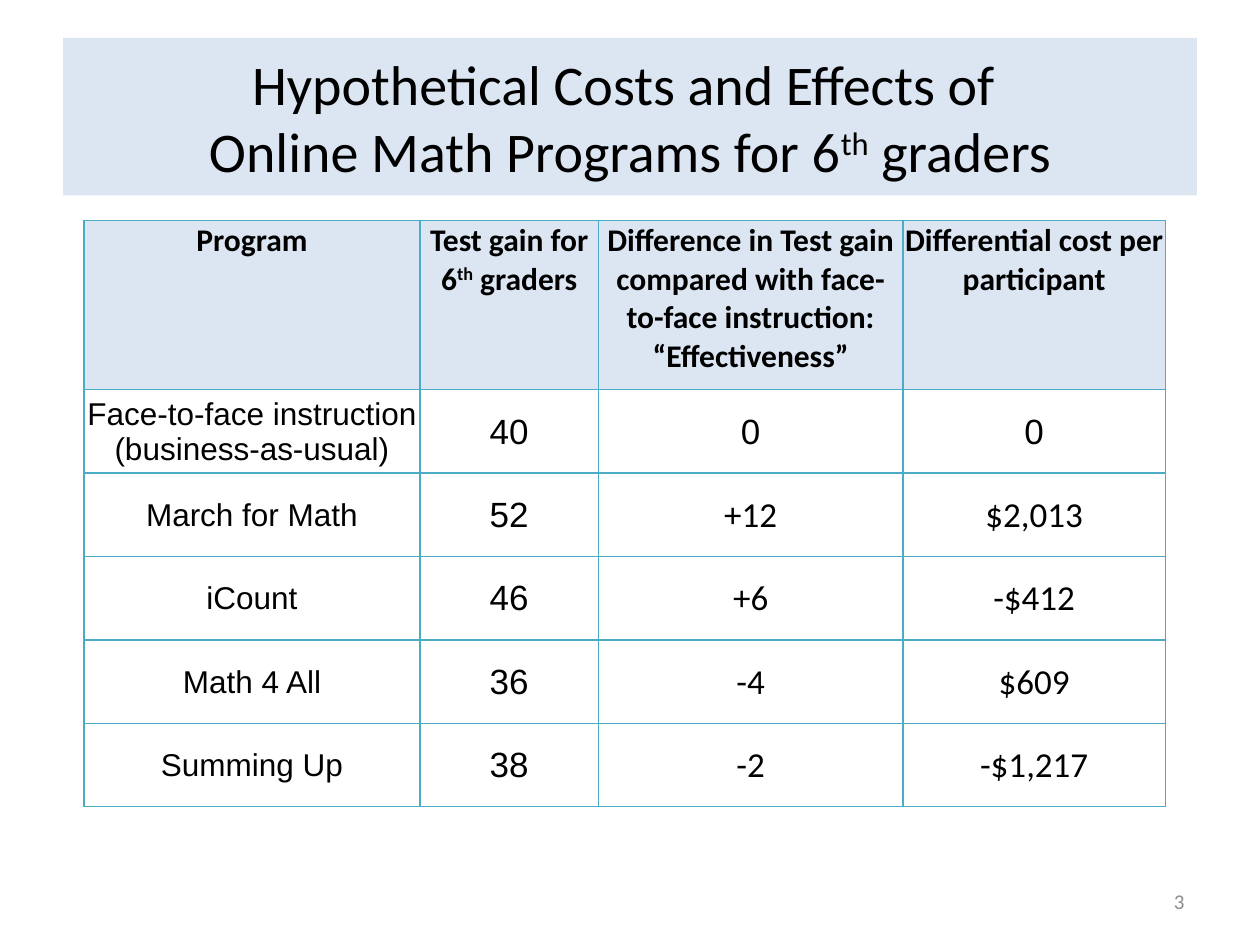
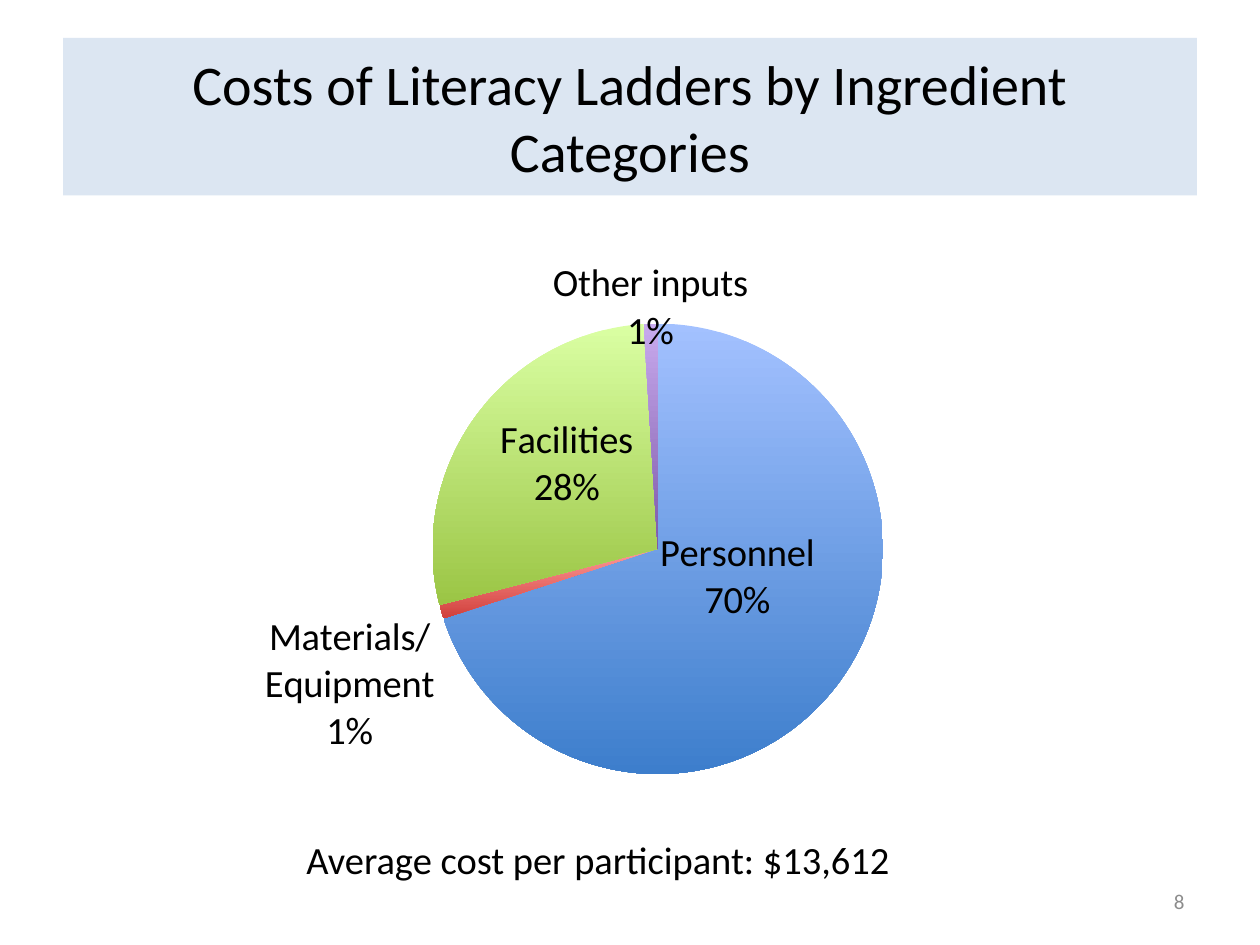
from dataclasses import dataclass
from typing import Optional

from lxml.etree import SubElement
from pptx import Presentation
from pptx.chart.data import CategoryChartData
from pptx.dml.color import RGBColor
from pptx.enum.chart import XL_CHART_TYPE as ChartType, XL_LABEL_POSITION as LabelPosition
from pptx.enum.text import MSO_ANCHOR as Anchor, MSO_AUTO_SIZE as AutoSize, PP_ALIGN as Align
from pptx.oxml import parse_xml
from pptx.oxml.ns import nsdecls, qn
from pptx.util import Inches, Pt

BLACK = RGBColor(0x00, 0x00, 0x00)
GRAY = RGBColor(0x8C, 0x8C, 0x8C)
PALE_BLUE = RGBColor(0xDC, 0xE6, 0xF2)
TEAL = RGBColor(0x4B, 0xAC, 0xC6)
BLUE_TOP, BLUE_BASE = RGBColor(0xA3, 0xC1, 0xFF), RGBColor(0x3D, 0x7E, 0xCC)
RED_TOP, RED_BASE = RGBColor(0xFF, 0x9A, 0x99), RGBColor(0xD1, 0x40, 0x3C)
GREEN_TOP, GREEN_BASE = RGBColor(0xDA, 0xFF, 0xA3), RGBColor(0x9B, 0xC5, 0x45)
PURPLE_TOP, PURPLE_BASE = RGBColor(0xC8, 0xAA, 0xEE), RGBColor(0x7D, 0x59, 0xA8)

BODY_FONT, TABLE_FONT = "Calibri", "Arial"
CELL = Inches(1) // 12
TITLE_ONLY = 5


@dataclass(frozen=True)
class Area:
    column: float
    row: float
    columns: float
    rows: float

    def lengths(self) -> tuple[int, ...]:
        return tuple(round(n * CELL) for n in (self.column, self.row, self.columns, self.rows))


@dataclass(frozen=True)
class TextStyle:
    size: int
    font: str = BODY_FONT
    color: RGBColor = BLACK
    bold: bool = False
    align: Align = Align.CENTER


@dataclass(frozen=True)
class Slice:
    category: str
    label: str
    percent: int
    top: RGBColor
    base: RGBColor
    position: LabelPosition
    shift: tuple[float, float]


TITLE_AREA = Area(6, 3.6, 108, 15)
NUMBER_AREA = Area(86, 83.4, 28, 4.8)
TABLE_AREA = Area(8, 21, 103, 57.8)
CHART_AREA = Area(6, 19.2, 110, 60.7)
COST_AREA = Area(28, 79, 70, 5.6)

TITLE_STYLE = TextStyle(32)
NUMBER_STYLE = TextStyle(12, color=GRAY, align=Align.RIGHT)
COST_STYLE = TextStyle(22, align=Align.LEFT)
LABEL_STYLE = TextStyle(22)
HEADER_STYLE = TextStyle(18, bold=True)

TABLE_COLUMNS = (32, 17, 29, 25)
HEADER_ROWS, PROGRAM_ROWS = 16.1, 7.95
PROGRAMS = (
    ("Program", "Test gain for 6^th^ graders",
     "Difference in Test gain compared with face-to-face instruction: “Effectiveness”",
     "Differential cost per participant"),
    ("Face-to-face instruction (business-as-usual)", "40", "0", "0"),
    ("March for Math", "52", "+12", "$2,013"),
    ("iCount", "46", "+6", "-$412"),
    ("Math 4 All", "36", "-4", "$609"),
    ("Summing Up", "38", "-2", "-$1,217"),
)

INGREDIENTS = (
    Slice("Personnel", "Personnel\n70%", 70, BLUE_TOP, BLUE_BASE,
          LabelPosition.CENTER, (-0.01, -0.06)),
    Slice("Materials/Equipment", "Materials/\nEquipment\n1%", 1, RED_TOP, RED_BASE,
          LabelPosition.OUTSIDE_END, (0, 0)),
    Slice("Facilities", "Facilities\n28%", 28, GREEN_TOP, GREEN_BASE,
          LabelPosition.CENTER, (0, -0.03)),
    Slice("Other inputs", "Other inputs\n1%", 1, PURPLE_TOP, PURPLE_BASE,
          LabelPosition.OUTSIDE_END, (0, 0.06)),
)
PIE_SHARES = {"x": 0.32, "y": 0.19, "w": 0.39, "h": 0.71}


def style_font(font, style: TextStyle) -> None:
    font.name = style.font
    font.size = Pt(style.size)
    font.bold = style.bold
    font.color.rgb = style.color


def write(paragraph, text: str, style: TextStyle) -> None:
    first, *others = text.split("^")
    paragraph.text = first
    paragraph.alignment = style.align
    for index, part in enumerate(others):
        span = paragraph.add_run()
        span.text = part
        if index % 2 == 0:
            span._r.get_or_add_rPr().set("baseline", "30000")
    for span in paragraph.runs:
        style_font(span.font, style)


def add_text(page, area: Area, text: str, style: TextStyle,
             anchor: Optional[Anchor] = None) -> None:
    frame = page.shapes.add_textbox(*area.lengths()).text_frame
    frame.word_wrap = True
    frame.vertical_anchor = anchor
    write(frame.paragraphs[0], text, style)


def add_page(deck, title: str, number: int):
    page = deck.slides.add_slide(deck.slide_layouts[TITLE_ONLY])
    box = page.shapes.title
    box.left, box.top, box.width, box.height = TITLE_AREA.lengths()
    box.fill.solid()
    box.fill.fore_color.rgb = PALE_BLUE
    box.text_frame.auto_size = AutoSize.NONE
    box.text_frame.vertical_anchor = Anchor.MIDDLE
    write(box.text_frame.paragraphs[0], title, TITLE_STYLE)
    add_text(page, NUMBER_AREA, str(number), NUMBER_STYLE, Anchor.MIDDLE)
    return page


def draw_borders(cell) -> None:
    properties = cell._tc.get_or_add_tcPr()
    for index, side in enumerate(("lnL", "lnR", "lnT", "lnB")):
        properties.insert(index, parse_xml(
            f'<a:{side} {nsdecls("a")} w="12700"><a:solidFill>'
            f'<a:srgbClr val="{TEAL}"/></a:solidFill></a:{side}>'))


def program_style(row: int, column: int) -> TextStyle:
    if row == 0:
        return HEADER_STYLE
    arial = column < 2 or row == 1
    return TextStyle(18 if column == 0 else 20, TABLE_FONT if arial else BODY_FONT)


def add_program_table(page) -> None:
    table = page.shapes.add_table(
        len(PROGRAMS), len(TABLE_COLUMNS), *TABLE_AREA.lengths()).table
    table.first_row = table.horz_banding = False
    for column, width in zip(table.columns, TABLE_COLUMNS):
        column.width = width * CELL
    for row, texts in enumerate(PROGRAMS):
        table.rows[row].height = round((PROGRAM_ROWS if row else HEADER_ROWS) * CELL)
        for column, text in enumerate(texts):
            cell = table.cell(row, column)
            cell.margin_left = cell.margin_right = cell.margin_top = Inches(0.01)
            cell.margin_bottom = 0
            cell.vertical_anchor = Anchor.MIDDLE if row else Anchor.TOP
            if row:
                cell.fill.background()
            else:
                cell.fill.solid()
                cell.fill.fore_color.rgb = PALE_BLUE
            draw_borders(cell)
            write(cell.text_frame.paragraphs[0], text, program_style(row, column))


def add_manual_layout(layout, values: dict) -> None:
    manual = SubElement(layout, qn("c:manualLayout"))
    for name, value in values.items():
        SubElement(manual, qn(f"c:{name}")).set("val", str(value))


def format_slice(point, part: Slice) -> None:
    fill = point.format.fill
    fill.gradient()
    fill.gradient_angle = 270
    for stop, color in zip(fill.gradient_stops, (part.top, part.base)):
        stop.color.rgb = color
    label = point.data_label
    label.text_frame.text = part.label
    for paragraph in label.text_frame.paragraphs:
        for span in paragraph.runs:
            style_font(span.font, LABEL_STYLE)
    label.position = part.position
    layout = parse_xml(f'<c:layout {nsdecls("c")}/>')
    add_manual_layout(layout, dict(zip("xy", part.shift)))
    label._dLbl.find(qn("c:idx")).addnext(layout)


def add_ingredient_chart(page) -> None:
    data = CategoryChartData()
    data.categories = [part.category for part in INGREDIENTS]
    data.add_series("Series 1", [part.percent for part in INGREDIENTS])
    chart = page.shapes.add_chart(ChartType.PIE, *CHART_AREA.lengths(), data).chart
    chart.has_title = chart.has_legend = False
    style_font(chart.font, TextStyle(20))
    plot = chart.plots[0]
    plot.vary_by_categories = True
    plot.has_data_labels = True
    labels = plot.data_labels
    labels.show_percentage = labels.show_category_name = True
    labels.show_value = False
    style_font(labels.font, LABEL_STYLE)
    for index, part in enumerate(INGREDIENTS):
        format_slice(plot.series[0].points[index], part)
    area = chart._chartSpace.chart.plotArea
    layout = area.find(qn("c:layout"))
    if layout is None:
        layout = parse_xml(f'<c:layout {nsdecls("c")}/>')
        area.insert(0, layout)
    modes = {"layoutTarget": "inner", "xMode": "edge", "yMode": "edge"}
    add_manual_layout(layout, modes | PIE_SHARES)


def main() -> None:
    deck = Presentation()
    deck.slide_width, deck.slide_height = 120 * CELL, 90 * CELL
    add_program_table(add_page(
        deck, "Hypothetical Costs and Effects of \vOnline Math Programs for 6^th^ graders", 3))
    page = add_page(deck, "Costs of Literacy Ladders by Ingredient Categories", 8)
    add_ingredient_chart(page)
    add_text(page, COST_AREA, "Average cost per participant: $13,612", COST_STYLE)
    deck.save("out.pptx")


if __name__ == "__main__":
    main()
